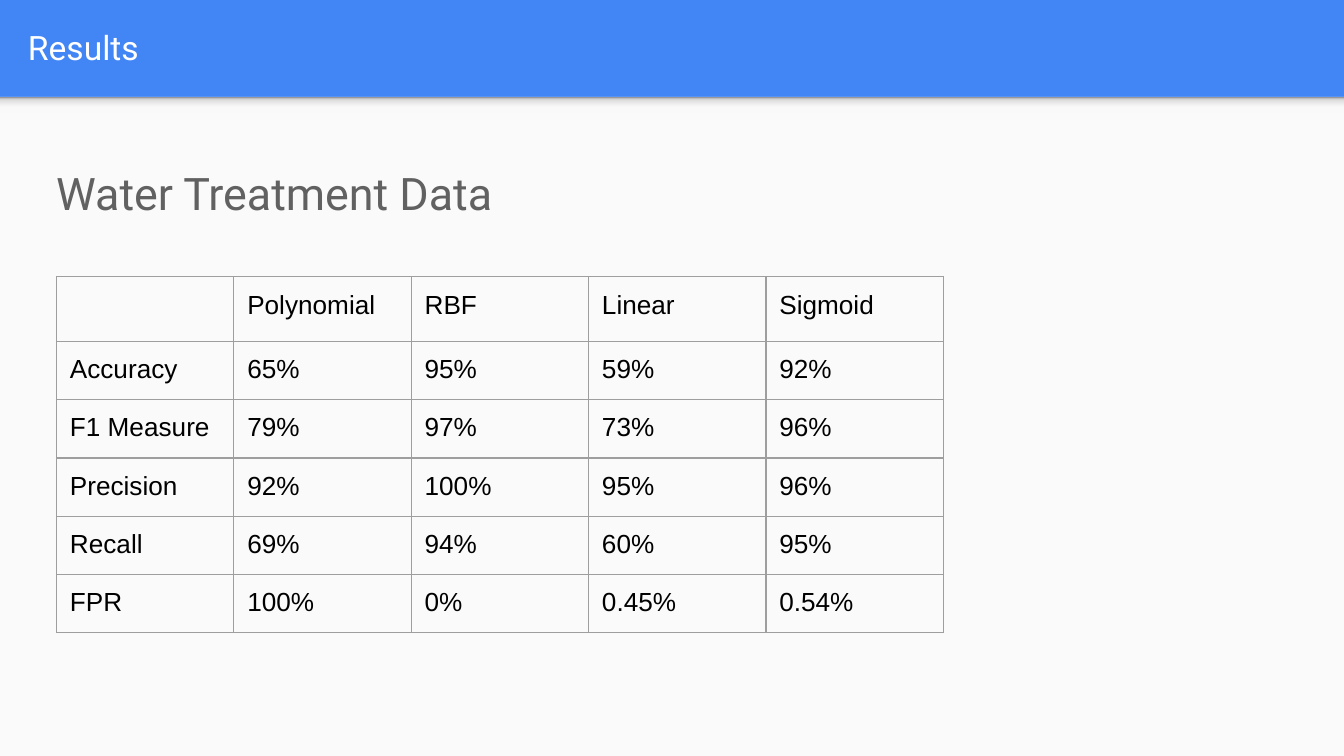
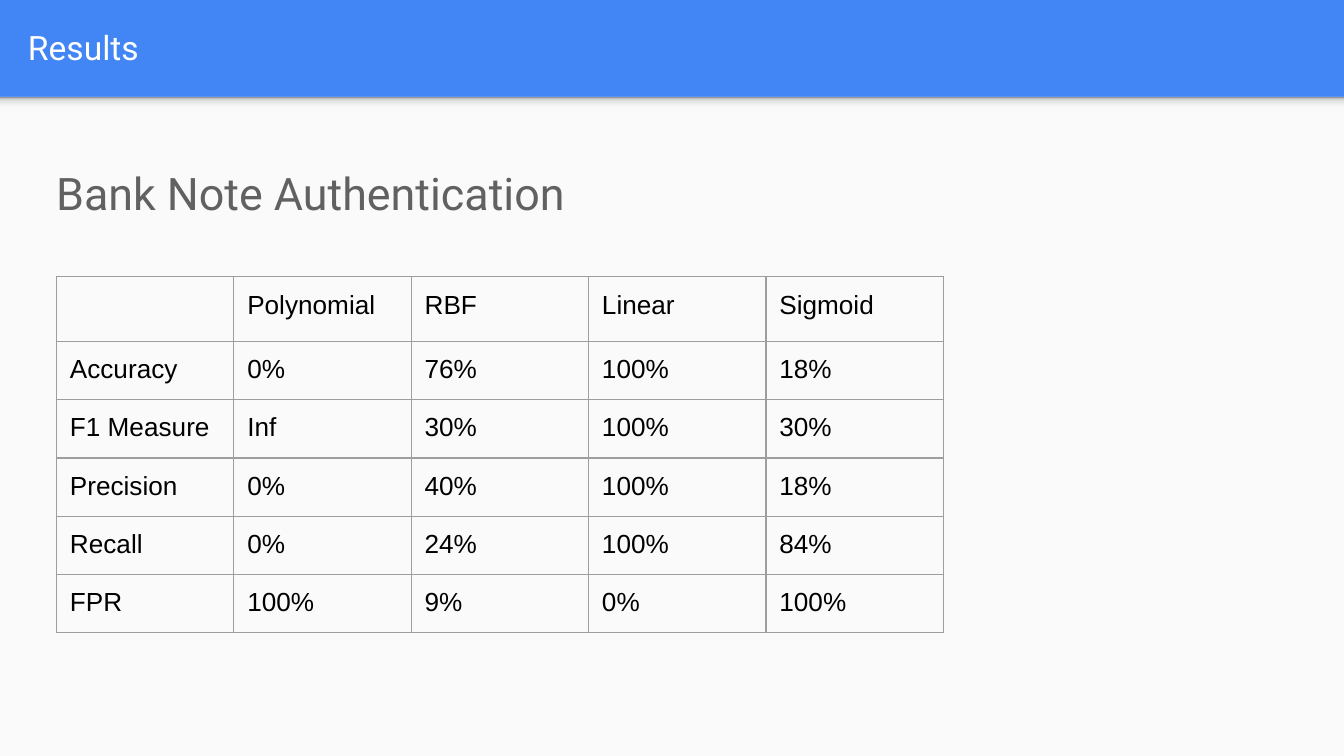
from collections import namedtuple

from lxml.etree import SubElement
from pptx import Presentation
from pptx.dml.color import RGBColor
from pptx.enum.shapes import MSO_SHAPE as Preset
from pptx.enum.text import MSO_ANCHOR as Anchor
from pptx.oxml.ns import qn
from pptx.util import Inches, Pt

SLIDE_WIDTH = Inches(10)
SLIDE_HEIGHT = SLIDE_WIDTH * 9 // 16
COLUMNS = 100
UNIT = SLIDE_WIDTH // COLUMNS
ROWS = SLIDE_HEIGHT / UNIT
BAND_ROWS = 7.2
CELL_WIDTH, HEADER_ROWS, DATA_ROWS = 13.2, 4.8, 4.2
BLUE, SHEET, WHITE = "4285F4", "FAFAFA", "FFFFFF"
GREY, BLACK, RULE = "616161", "000000", "9E9E9E"
SHADE_STOPS = [(0, "F9F9F9"), (36, "F9F9F9"), (80, "DEDEDE"), (100, "999999")]
INSETS = {f"margin_{side}": Inches(0.1) for side in ("left", "top", "right", "bottom")}
TITLE_FONT = {"name": "Roboto", "size": Pt(18)}
HEADING_FONT = {"name": "Roboto", "size": Pt(24)}
CELL_FONT = {"name": "Arial", "size": Pt(14)}

KERNELS = ["", "Polynomial", "RBF", "Linear", "Sigmoid"]
RESULTS = {
    "Water Treatment Data": [
        ["Accuracy", "65%", "95%", "59%", "92%"],
        ["F1 Measure", "79%", "97%", "73%", "96%"],
        ["Precision", "92%", "100%", "95%", "96%"],
        ["Recall", "69%", "94%", "60%", "95%"],
        ["FPR", "100%", "0%", "0.45%", "0.54%"],
    ],
    "Bank Note Authentication": [
        ["Accuracy", "0%", "76%", "100%", "18%"],
        ["F1 Measure", "Inf", "30%", "100%", "30%"],
        ["Precision", "0%", "40%", "100%", "18%"],
        ["Recall", "0%", "24%", "100%", "84%"],
        ["FPR", "100%", "9%", "0%", "100%"],
    ],
}


class Box(namedtuple("Box", "left top width height")):
    """A region in grid columns and rows."""

    def inner(self, left, top, width, height):
        """Return a region placed relative to this one."""
        return Box(self.left + left, self.top + top, width, height)

    def lengths(self):
        """Return the region in slide lengths."""
        return [round(cells * UNIT) for cells in self]


def color(value):
    """Turn a hex string into a colour."""
    return RGBColor.from_string(value)


def apply(target, values):
    """Set each named attribute on the target."""
    for name, value in values.items():
        setattr(target, name, value)


def write(frame, text, font, ink):
    """Write one styled paragraph into a text frame."""
    run = frame.paragraphs[0].add_run()
    run.text = text
    apply(run.font, font)
    run.font.color.rgb = color(ink)


def add_label(slide, box, text, font, ink, anchor=Anchor.TOP):
    """Place a wrapped text box."""
    frame = slide.shapes.add_textbox(*box.lengths()).text_frame
    apply(frame, {**INSETS, "word_wrap": True, "vertical_anchor": anchor})
    write(frame, text, font, ink)


def add_panel(slide, box):
    """Place a plain rectangle with neither line nor shadow."""
    panel = slide.shapes.add_shape(Preset.RECTANGLE, *box.lengths())
    panel.shadow.inherit = False
    panel.line.fill.background()
    return panel


def add_sheet(slide, box):
    """Place the light sheet and the shade along its top edge."""
    sheet = add_panel(slide, box)
    sheet.fill.solid()
    sheet.fill.fore_color.rgb = color(SHEET)
    shade = add_panel(slide, box.inner(0, 0, box.width, 1.2))
    shade.fill.gradient()
    shade.fill.gradient_angle = 90
    stops = shade.element.spPr.find(".//" + qn("a:gsLst"))
    stops.clear()
    for percent, ink in SHADE_STOPS:
        stop = SubElement(stops, qn("a:gs"), pos=str(percent * 1000))
        SubElement(stop, qn("a:srgbClr"), val=ink)


def add_band(slide, box):
    """Colour the background and write the title in the band."""
    slide.background.fill.solid()
    slide.background.fill.fore_color.rgb = color(BLUE)
    title_box = box.inner(1.1, 0.2, 96.5, 6.6)
    add_label(slide, title_box, "Results", TITLE_FONT, WHITE, Anchor.MIDDLE)


def outline(cell):
    """Rule all four sides of a cell."""
    properties = cell._tc.get_or_add_tcPr()
    for side in ("lnL", "lnR", "lnT", "lnB"):
        line = SubElement(properties, qn(f"a:{side}"), w=str(Pt(0.75)))
        fill = SubElement(line, qn("a:solidFill"))
        SubElement(fill, qn("a:srgbClr"), val=RULE)


def add_scores(slide, box, scores):
    """Place the table of scores by measure and kernel."""
    lines = [KERNELS, *scores]
    graphic = slide.shapes.add_table(len(lines), len(KERNELS), *box.lengths())
    table = graphic.table
    apply(table, {"first_row": False, "horz_banding": False})
    for column in table.columns:
        column.width = round(CELL_WIDTH * UNIT)
    for index, line in enumerate(lines):
        height = DATA_ROWS if index else HEADER_ROWS
        table.rows[index].height = round(height * UNIT)
        for cell, text in zip(table.rows[index].cells, line):
            outline(cell)
            cell.fill.background()
            if text:
                apply(cell, INSETS)
                write(cell.text_frame, text, CELL_FONT, BLACK)


def add_content(slide, box, heading, scores):
    """Place the heading and the table on the sheet."""
    add_label(slide, box.inner(3.2, 4.1, 50, 32), heading, HEADING_FONT, GREY)
    width = CELL_WIDTH * len(KERNELS)
    height = HEADER_ROWS + DATA_ROWS * len(scores)
    add_scores(slide, box.inner(4.2, 13.4, width, height), scores)


def add_results_slide(deck, heading, scores):
    """Add one slide of results."""
    slide = deck.slides.add_slide(deck.slide_layouts[6])
    content = Box(0, BAND_ROWS, COLUMNS, ROWS - BAND_ROWS)
    add_sheet(slide, content)
    add_band(slide, Box(0, 0, COLUMNS, BAND_ROWS))
    add_content(slide, content, heading, scores)


def main():
    """Build and save the presentation."""
    deck = Presentation()
    apply(deck, {"slide_width": SLIDE_WIDTH, "slide_height": SLIDE_HEIGHT})
    for heading, scores in RESULTS.items():
        add_results_slide(deck, heading, scores)
    deck.save("out.pptx")


if __name__ == "__main__":
    main()
